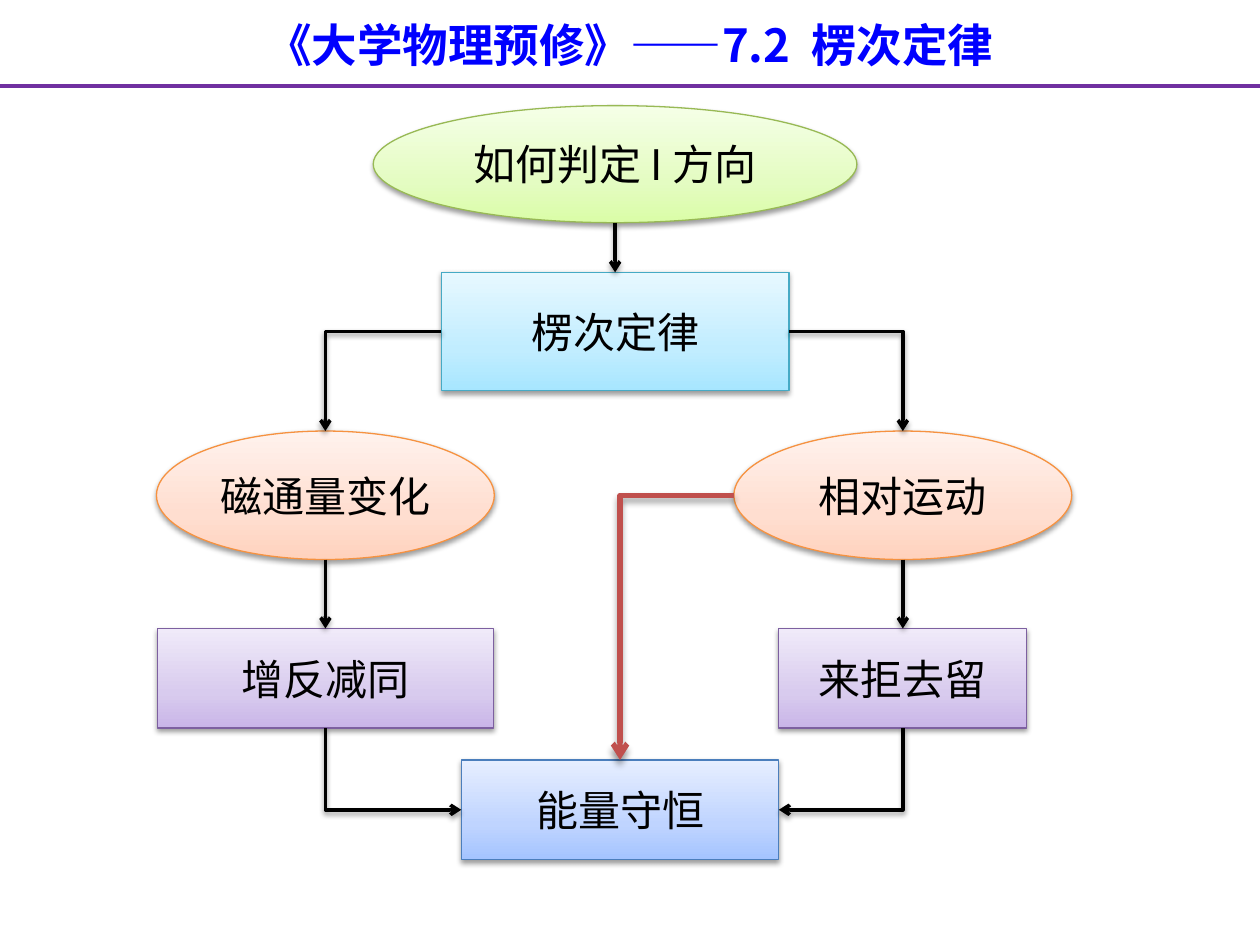
from copy import deepcopy
from dataclasses import dataclass

from lxml import etree
from pptx import Presentation
from pptx.dml.color import RGBColor
from pptx.enum.shapes import MSO_CONNECTOR, MSO_SHAPE
from pptx.enum.text import MSO_ANCHOR, PP_ALIGN
from pptx.oxml.ns import qn
from pptx.util import Cm, Pt

OVAL, BOX = MSO_SHAPE.OVAL, MSO_SHAPE.RECTANGLE
STRAIGHT, ELBOW = MSO_CONNECTOR.STRAIGHT, MSO_CONNECTOR.ELBOW
MIDDLE, CENTER = MSO_ANCHOR.MIDDLE, PP_ALIGN.CENTER
FONT = "Noto Sans CJK SC"
TITLE_ONLY = 5
LEFT_X, MIDDLE_X, RIGHT_X = 6.56, 12.4, 18.2


@dataclass(frozen=True)
class Palette:
    """Gradient colours from bottom to top, and the outline."""
    stops: tuple[str, str, str]
    outline: str


GREEN = Palette(("DAFDA7", "E4FCC2", "F5FFE7"), "98B955")
CYAN = Palette(("A7E6FF", "C1EDFF", "E7F8FF"), "46AAC5")
BLUE = Palette(("A4C4FF", "BFD4FF", "E6EEFF"), "4B7EBC")
PURPLE = Palette(("C9B5E8", "D8CBEE", "F0EAF9"), "7D60A0")
ORANGE = Palette(("FFD2BD", "FFDED0", "FFF2ED"), "F69240")


@dataclass(frozen=True)
class Node:
    """A labelled shape; lengths in centimetres."""
    text: str
    kind: int
    palette: Palette
    center_x: float
    top: float
    width: float
    height: float

    def side(self, name: str) -> tuple[float, float]:
        """Middle point of the named side."""
        middle_y = self.top + self.height / 2
        return {
            "top": (self.center_x, self.top),
            "bottom": (self.center_x, self.top + self.height),
            "left": (self.center_x - self.width / 2, middle_y),
            "right": (self.center_x + self.width / 2, middle_y),
        }[name]


@dataclass(frozen=True)
class Link:
    source: Node
    source_side: str
    target: Node
    target_side: str
    color: str = "000000"
    width: float = 2
    blur: float = 3.1
    distance: float = 1.6
    opacity: int = 38


QUESTION = Node("如何判定 I 方向", OVAL, GREEN, MIDDLE_X, 2.13, 9.75, 2.36)
LAW = Node("楞次定律", BOX, CYAN, MIDDLE_X, 5.49, 7.01, 2.39)
ENERGY = Node("能量守恒", BOX, BLUE, 12.5, 15.32, 6.4, 2.01)
REPEL = Node("来拒去留", BOX, PURPLE, RIGHT_X, 12.67, 5, 2.01)
OPPOSE = Node("增反减同", BOX, PURPLE, LEFT_X, 12.67, 6.78, 2.01)
MOTION = Node("相对运动", OVAL, ORANGE, RIGHT_X, 8.69, 6.81, 2.59)
FLUX = Node("磁通量变化", OVAL, ORANGE, LEFT_X, 8.69, 6.81, 2.59)
NODES = (QUESTION, LAW, ENERGY, REPEL, OPPOSE, MOTION, FLUX)
LINKS = (
    Link(QUESTION, "bottom", LAW, "top"),
    Link(LAW, "left", FLUX, "top"),
    Link(LAW, "right", MOTION, "top"),
    Link(FLUX, "bottom", OPPOSE, "top"),
    Link(MOTION, "bottom", REPEL, "top"),
    Link(OPPOSE, "bottom", ENERGY, "left"),
    Link(REPEL, "bottom", ENERGY, "right"),
    Link(MOTION, "left", ENERGY, "top", "C0504D", 3, 4, 3, 40),
)


def rgb(color: str) -> RGBColor:
    return RGBColor.from_string(color)


def write_text(shape, text: str, *, size: float, color: str = "000000",
               bold: bool = False, wrap: bool = False) -> None:
    frame = shape.text_frame
    frame.word_wrap = wrap
    frame.vertical_anchor = MIDDLE
    paragraph = frame.paragraphs[0]
    paragraph.alignment = CENTER
    run = paragraph.add_run()
    run.text = text
    font = run.font
    font.size, font.bold, font.name = Pt(size), bold, FONT
    font.color.rgb = rgb(color)
    latin = run._r.rPr.find(qn("a:latin"))
    east_asian = etree.Element(qn("a:ea"), typeface=FONT)
    latin.addnext(east_asian)


def add_shadow(shape, blur: float = 3.1, distance: float = 1.6, opacity: int = 38) -> None:
    effects = etree.SubElement(shape._element.spPr, qn("a:effectLst"))
    shadow = etree.SubElement(effects, qn("a:outerShdw"), blurRad=str(Pt(blur)),
                              dist=str(Pt(distance)), dir="5400000", rotWithShape="0")
    color = etree.SubElement(shadow, qn("a:srgbClr"), val="000000")
    etree.SubElement(color, qn("a:alpha"), val=str(opacity * 1000))


def fill_gradient(shape, colors: tuple[str, str, str]) -> None:
    shape.fill.gradient()
    shape.fill.gradient_angle = 90
    stop_list = shape._element.spPr.find(".//" + qn("a:gsLst"))
    stop_list.insert(1, deepcopy(stop_list[0]))
    for stop, position, color in zip(shape.fill.gradient_stops, (0, 0.35, 1), colors):
        stop.position = position
        stop.color.rgb = rgb(color)


def add_node(slide, node: Node) -> None:
    left = node.center_x - node.width / 2
    shape = slide.shapes.add_shape(node.kind, Cm(left), Cm(node.top),
                                   Cm(node.width), Cm(node.height))
    fill_gradient(shape, node.palette.stops)
    shape.line.color.rgb = rgb(node.palette.outline)
    shape.line.width = Pt(0.75)
    add_shadow(shape)
    write_text(shape, node.text, size=24)


def add_line(slide, kind: int, begin: tuple[float, float], end: tuple[float, float],
             color: str, width: float):
    connector = slide.shapes.add_connector(kind, *map(Cm, begin + end))
    connector.line.color.rgb = rgb(color)
    connector.line.width = Pt(width)
    return connector


def add_link(slide, link: Link) -> None:
    """Draw an arrow that is straight or turns one corner."""
    begin, end = link.source.side(link.source_side), link.target.side(link.target_side)
    straight = begin[0] == end[0]
    rotation = 0
    if not straight and link.source_side == "bottom":
        # Leaving downwards is the sideways corner turned about its centre.
        center_x, center_y = (begin[0] + end[0]) / 2, (begin[1] + end[1]) / 2
        half_width, half_height = (end[1] - begin[1]) / 2, abs(end[0] - begin[0]) / 2
        rotation = 90
        if end[0] > begin[0]:
            rotation, half_width = 270, -half_width
        begin = center_x - half_width, center_y - half_height
        end = center_x + half_width, center_y + half_height
    connector = add_line(slide, STRAIGHT if straight else ELBOW, begin, end,
                         link.color, link.width)
    properties = connector._element.spPr
    if not straight:
        properties.find(qn("a:prstGeom")).set("prst", "bentConnector2")
    if rotation:
        properties.find(qn("a:xfrm")).set("rot", str(rotation * 60000))
    etree.SubElement(properties.find(qn("a:ln")), qn("a:tailEnd"), type="arrow")
    add_shadow(connector, link.blur, link.distance, link.opacity)


def add_heading(slide) -> None:
    title = slide.shapes.title
    title.left, title.top, title.width, title.height = map(Cm, (0, 0.2, 25.4, 1.37))
    write_text(title, "《大学物理预修》——7.2  楞次定律", size=26, color="0000FF",
               bold=True, wrap=True)
    rule = add_line(slide, STRAIGHT, (0, 1.73), (25.4, 1.73), "7030A0", 2.25)
    etree.SubElement(rule._element.spPr, qn("a:effectLst"))


def main() -> None:
    presentation = Presentation()
    presentation.slide_width, presentation.slide_height = Cm(25.4), Cm(19.05)
    slide = presentation.slides.add_slide(presentation.slide_layouts[TITLE_ONLY])
    add_heading(slide)
    for node in NODES:
        add_node(slide, node)
    for link in LINKS:
        add_link(slide, link)
    presentation.save("out.pptx")


if __name__ == "__main__":
    main()
